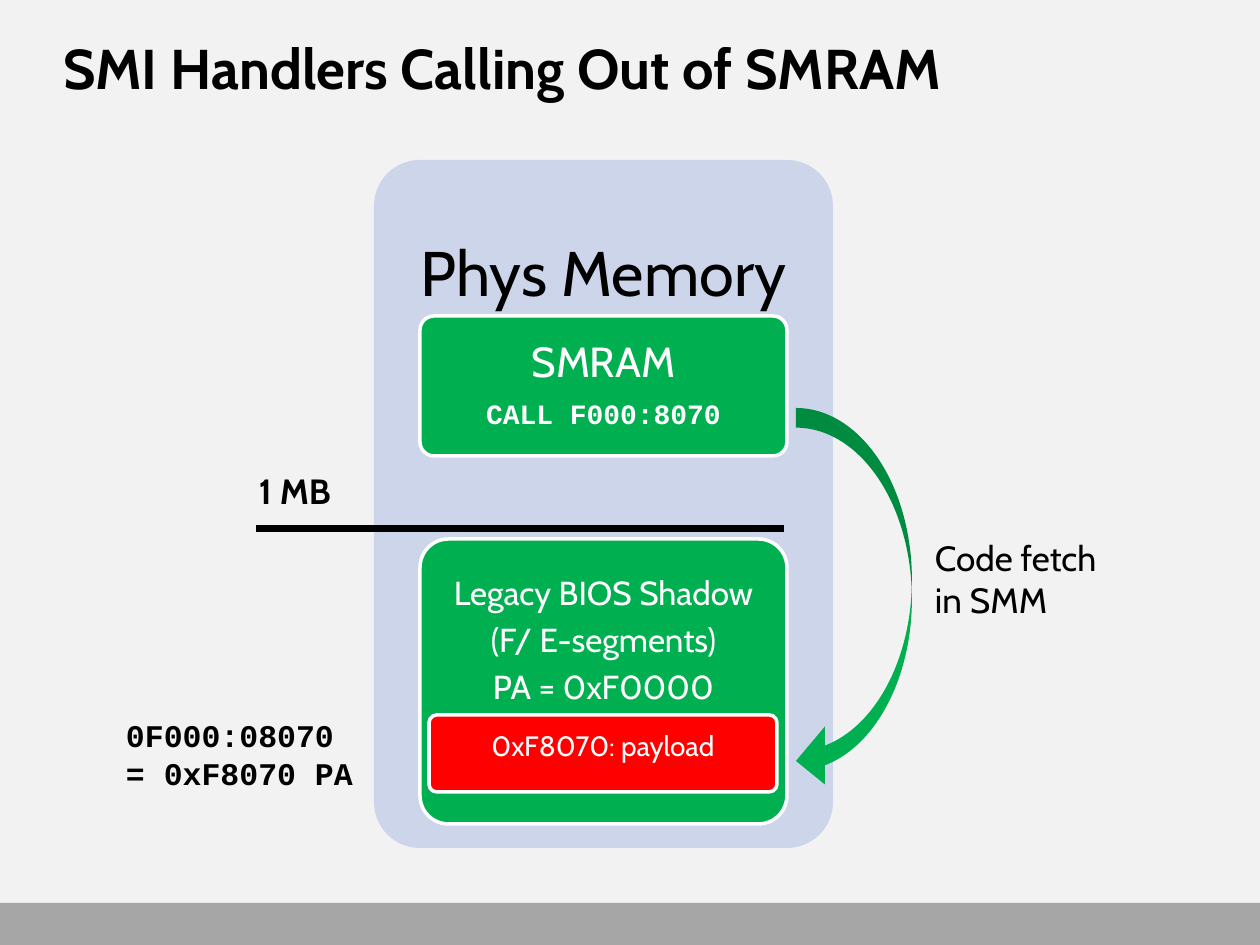
"""Build the slide on SMI handlers that call out of SMRAM."""
from pptx import Presentation
from pptx.dml.color import RGBColor
from pptx.enum.shapes import MSO_CONNECTOR, MSO_SHAPE
from pptx.enum.text import MSO_ANCHOR, PP_ALIGN
from pptx.oxml.ns import qn
from pptx.util import Emu, Pt

RECT, ROUND, ARROW = (MSO_SHAPE.RECTANGLE, MSO_SHAPE.ROUNDED_RECTANGLE,
                      MSO_SHAPE.CURVED_LEFT_ARROW)
TOP, MIDDLE = MSO_ANCHOR.TOP, MSO_ANCHOR.MIDDLE
LEFT, CENTER = PP_ALIGN.LEFT, PP_ALIGN.CENTER
PX = 914400 // 126
SANS, MONO = "Cabin", "Courier New"
BLACK, WHITE, GREEN, RED = "000000", "FFFFFF", "00B050", "FF0000"
BACKGROUND, BAR, MEMORY = "F2F2F2", "A6A6A6", "CCD5EA"

FOOTER = (0, 903, 1260, 42)
BOUNDARY = (256, 529, 784, 529)
FETCH_ARROW = (796, 408, 116, 382)
ARROW_ADJ = (0.17, 0.5, 0.25)

# Each line of text: wording, size, font, bold
BLOCKS = [
    dict(box=(374, 160, 459, 688), fill=MEMORY, color=BLACK, anchor=TOP,
         ins=(19, 69, 19, 19), lines=[("Phys Memory", 36, SANS, False)]),
    dict(box=(420, 316, 367, 140), fill=GREEN, line=WHITE, ins=(13, 10, 13, 10),
         lines=[("SMRAM", 24, SANS, False), ("CALL F000:8070", 16, MONO, True)]),
    dict(box=(420, 539, 367, 285), fill=GREEN, line=WHITE, anchor=TOP,
         ins=(15, 29, 15, 13),
         lines=[(t, 19, SANS, False) for t in
                ("Legacy BIOS Shadow", "(F/ E-segments)", "PA = 0xF0000")]),
    dict(box=(429, 715, 348, 77), fill=RED, line=WHITE, ins=(16, 5, 16, 16),
         lines=[("0xF8070: payload", 16, SANS, False)]),
]
LABELS = [
    dict(box=(63, 34, 1179, 136), ins=(0, 0, 0, 0),
         lines=[("SMI Handlers Calling Out of SMRAM", 32, SANS, True)]),
    dict(box=(246, 464, 147, 55), lines=[("1 MB", 20, SANS, True)]),
    dict(box=(113, 710, 268, 89),
         lines=[("0F000:08070 = 0xF8070 PA", 18, MONO, True)]),
    dict(box=(922, 530, 248, 97),
         lines=[("Code fetch", 20, SANS, False), ("in SMM", 20, SANS, False)]),
]


def px(values):
    return [Emu(v * PX) for v in values]


def rgb(value):
    return RGBColor.from_string(value)


def write(sp, lines, color=BLACK, ins=(13, 6, 13, 6), anchor=TOP, align=LEFT,
          spacing=1.0, after=0):
    tf = sp.text_frame
    tf.word_wrap = True
    tf.vertical_anchor = anchor
    tf.margin_left, tf.margin_top, tf.margin_right, tf.margin_bottom = px(ins)
    for i, (text, size, font, bold) in enumerate(lines):
        p = tf.add_paragraph() if i else tf.paragraphs[0]
        p.alignment, p.line_spacing = align, spacing
        if i < len(lines) - 1:
            p.space_after = Pt(round(after * size, 1))
        r = p.add_run()
        r.text = text
        r.font.size, r.font.name, r.font.bold = Pt(size), font, bold
        r.font.color.rgb = rgb(color)


def add_shape(s, kind, box, fill, line=None, adj=()):
    sp = s.shapes.add_shape(kind, *px(box))
    sp.shadow.inherit = False
    sp.fill.solid()
    sp.fill.fore_color.rgb = rgb(fill)
    if line:
        sp.line.color.rgb, sp.line.width = rgb(line), Pt(2)
    else:
        sp.line.fill.background()
    for i, value in enumerate(adj):
        sp.adjustments[i] = value
    return sp


def add_block(s, box, fill, lines, line=None, color=WHITE, anchor=MIDDLE, ins=None):
    sp = add_shape(s, ROUND, box, fill, line, (0.1,))
    write(sp, lines, color=color, ins=ins, anchor=anchor, align=CENTER,
          spacing=0.9, after=0.35)


def add_label(s, box, **text):
    write(s.shapes.add_textbox(*px(box)), **text)


def add_line(s, ends, color, width):
    line = s.shapes.add_connector(MSO_CONNECTOR.STRAIGHT, *px(ends))
    line.line.color.rgb, line.line.width = rgb(color), Pt(width)
    sp_pr = line._element.spPr
    sp_pr.append(sp_pr.makeelement(qn("a:effectLst"), {}))


def main():
    prs = Presentation()
    prs.slide_width, prs.slide_height = px((1260, 945))
    s = prs.slides.add_slide(prs.slide_layouts[6])
    s.background.fill.solid()
    s.background.fill.fore_color.rgb = rgb(BACKGROUND)
    add_shape(s, RECT, FOOTER, BAR)
    for block in BLOCKS:
        add_block(s, **block)
    add_line(s, BOUNDARY, BLACK, 4)
    add_shape(s, ARROW, FETCH_ARROW, GREEN, adj=ARROW_ADJ)
    for label in LABELS:
        add_label(s, **label)
    prs.save("out.pptx")


if __name__ == "__main__":
    main()
